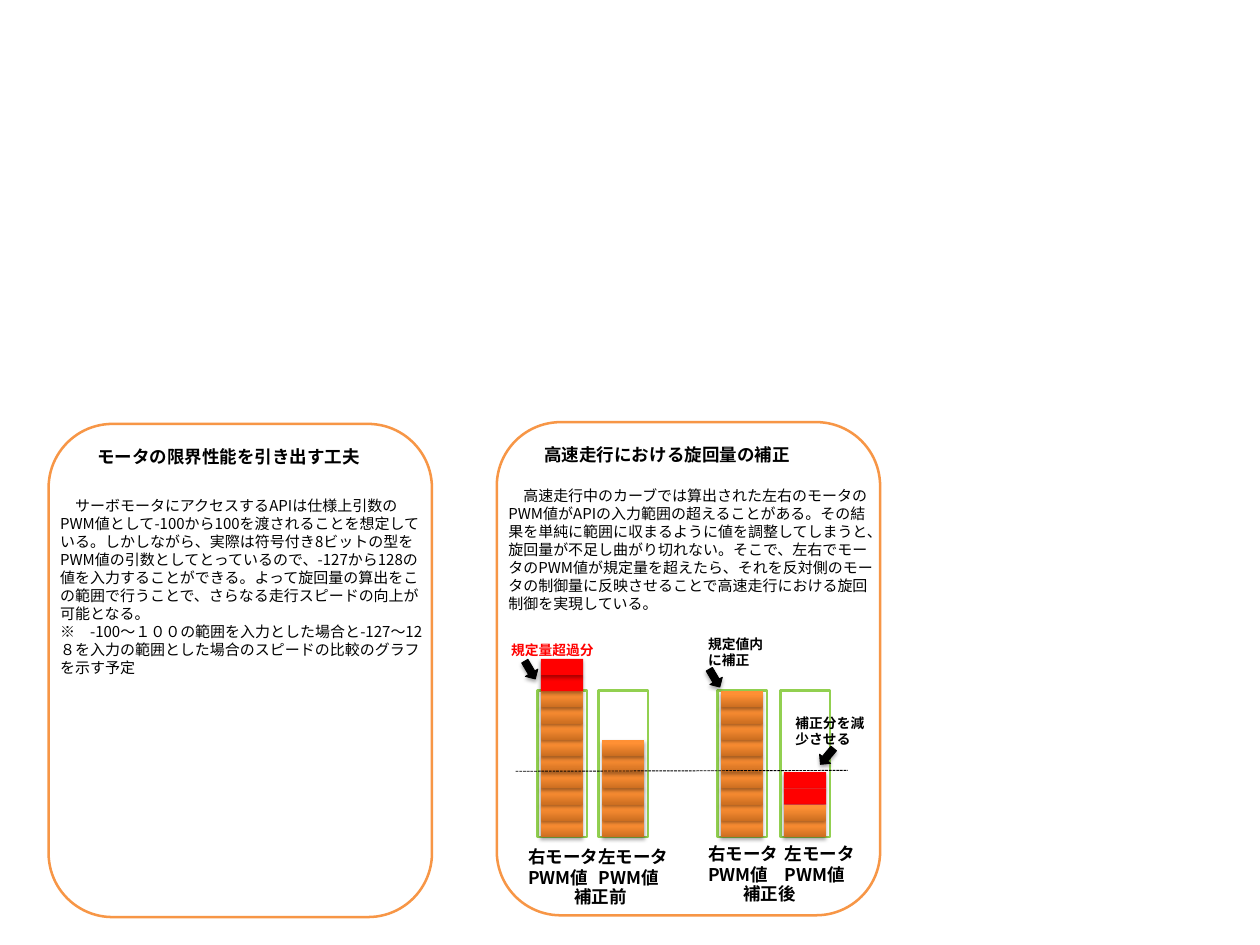
from copy import deepcopy

from lxml.etree import SubElement
from pptx import Presentation
from pptx.dml.color import RGBColor
from pptx.enum.dml import MSO_LINE
from pptx.enum.shapes import MSO_CONNECTOR, MSO_SHAPE
from pptx.enum.text import MSO_AUTO_SIZE
from pptx.oxml.ns import qn
from pptx.util import Inches, Pt

FONT = "Noto Sans CJK JP"
COLORS = {
    "text": "000000", "panel": "F79646", "limit": "92D050", "excess": "FF0000",
    "cell_dark": "CC6E20", "cell_mid": "FF9034", "cell_light": "FF9136",
}
PANEL_W, PANEL_H = 4.26, 5.48
GAUGE_W, GAUGE_H = 0.55, 1.63
CELL_W, CELL_H = 0.47, 0.18

LIMIT_TEXT = (
    "\u3000サーボモータにアクセスするAPIは仕様上引数のPWM値として-100から100を渡されることを想定している。"
    "しかしながら、実際は符号付き8ビットの型をPWM値の引数としてとっているので、"
    "-127から128の値を入力することができる。"
    "よって旋回量の算出をこの範囲で行うことで、さらなる走行スピードの向上が可能となる。\v"
    "※\u3000-100～１００の範囲を入力とした場合と-127～12８を入力の範囲とした場合の"
    "スピードの比較のグラフを示す予定"
)
TURN_TEXT = (
    "\u3000高速走行中のカーブでは算出された左右のモータのPWM値がAPIの入力範囲の超えることがある。"
    "その結果を単純に範囲に収まるように値を調整してしまうと、旋回量が不足し曲がり切れない。"
    "そこで、左右でモータのPWM値が規定量を超えたら、それを反対側のモータの制御量に反映させることで"
    "高速走行における旋回制御を実現している。"
)


def rgb(name):
    return RGBColor.from_string(COLORS[name])


def add_text(page, text, x, y, w, h, size=14, bold=True, color="text"):
    frame = page.shapes.add_textbox(Inches(x), Inches(y), Inches(w), Inches(h)).text_frame
    frame.word_wrap = True
    frame.auto_size = MSO_AUTO_SIZE.SHAPE_TO_FIT_TEXT
    para = frame.paragraphs[0]
    para.text = text
    for span in para.runs:
        span.font.size, span.font.bold, span.font.name = Pt(size), bold, FONT
        span.font.color.rgb = rgb(color)
        SubElement(span.font._element, qn("a:ea"), typeface=FONT)


def add_box(page, kind, x, y, w, h, fill=None, line=None, weight=2):
    box = page.shapes.add_shape(kind, Inches(x), Inches(y), Inches(w), Inches(h))
    box.shadow.inherit = False
    if fill:
        box.fill.solid()
        box.fill.fore_color.rgb = rgb(fill)
    else:
        box.fill.background()
    if line:
        box.line.color.rgb = rgb(line)
        box.line.width = Pt(weight)
    else:
        box.line.fill.background()
    return box


def add_shadow(box):
    effects = box._element.spPr.find(qn("a:effectLst"))
    shadow = SubElement(effects, qn("a:outerShdw"), blurRad=str(Pt(3.1)), dist=str(Pt(1.8)),
                        dir="5400000", rotWithShape="0")
    color = SubElement(shadow, qn("a:srgbClr"), val=COLORS["text"])
    SubElement(color, qn("a:alpha"), val="35000")


def shade_cell(box):
    box.fill.gradient()
    box.fill.gradient_angle = 90
    stop_list = box._element.spPr.find(f".//{qn('a:gsLst')}")
    stop_list.append(deepcopy(stop_list[-1]))
    shades = [(0, "cell_dark"), (0.8, "cell_mid"), (1, "cell_light")]
    for stop, (position, name) in zip(box.fill.gradient_stops, shades):
        stop.position = position
        stop.color.rgb = rgb(name)


def add_cells(page, x, bottom, levels, excess=False):
    for level in levels:
        cell = add_box(page, MSO_SHAPE.RECTANGLE, x, bottom - (level + 1) * CELL_H,
                       CELL_W, CELL_H, fill="excess")
        if not excess:
            shade_cell(cell)
        add_shadow(cell)


def add_gauge(page, x, y, normal, excess=0, excess_behind=False):
    """Stack normal cells, then excess cells, in a frame that marks the limit."""
    cell_x, bottom = x + 0.04, y + GAUGE_H
    extra = range(normal, normal + excess)
    if excess_behind:
        add_cells(page, cell_x, bottom, reversed(extra), excess=True)
    add_box(page, MSO_SHAPE.RECTANGLE, x, y, GAUGE_W, GAUGE_H, line="limit")
    add_cells(page, cell_x, bottom, range(normal))
    if not excess_behind:
        add_cells(page, cell_x, bottom, extra, excess=True)


def add_pointer(page, x, y, rotation):
    arrow = add_box(page, MSO_SHAPE.DOWN_ARROW, x, y, 0.16, 0.23,
                    fill="text", line="text", weight=0.75)
    arrow.rotation = rotation
    add_shadow(arrow)


def add_threshold(page, x1, y1, x2, y2):
    line = page.shapes.add_connector(MSO_CONNECTOR.STRAIGHT, Inches(x1), Inches(y1),
                                     Inches(x2), Inches(y2))
    line.line.color.rgb = rgb("text")
    line.line.width = Pt(0.75)
    line.line.dash_style = MSO_LINE.SQUARE_DOT
    SubElement(line._element.spPr, qn("a:effectLst"))


def add_panel(page, x, y, title, title_at, body, body_at, body_h):
    add_text(page, title, x + title_at[0], y + title_at[1], 3.46, 0.34)
    add_text(page, body, x + body_at[0], y + body_at[1], PANEL_W, body_h, size=12, bold=False)
    add_box(page, MSO_SHAPE.ROUNDED_RECTANGLE, x, y, PANEL_W, PANEL_H, line="panel")


def add_motor_pair(page, x, y, right, left, left_x, left_label_x, label_y, caption, caption_at):
    """Draw the gauges of the right and left motors with their labels."""
    add_gauge(page, x, y, **right)
    add_gauge(page, x + left_x, y, **left)
    for side, label_x in (("右", -0.2), ("左", left_label_x)):
        add_text(page, f"{side}モータ\vPWM値", x + label_x, y + label_y, 1.02, 0.57)
    add_text(page, caption, x + caption_at[0], y + caption_at[1], 1.02, 0.34)


def add_turn_diagram(page, x, y):
    """Compare motor outputs before and after correction."""
    gauge_y = y + 0.66
    add_motor_pair(page, x + 0.45, gauge_y, {"normal": 9, "excess": 2}, {"normal": 6},
                   0.68, 0.58, 1.68, "補正前", (0.31, 2.13))
    add_motor_pair(page, x + 2.45, gauge_y, {"normal": 9},
                   {"normal": 2, "excess": 2, "excess_behind": True},
                   0.7, 0.65, 1.65, "補正後", (0.19, 2.09))
    add_text(page, "規定量超過分", x + 0.06, y + 0.07, 1.17, 0.29, size=11, color="excess")
    add_pointer(page, x + 0.29, y + 0.32, 329.5)
    add_threshold(page, x + 0.21, y + 1.56, x + 3.9, y + 1.55)
    add_text(page, "規定値内に補正", x + 2.25, y, 0.89, 0.47, size=11)
    add_pointer(page, x + 2.34, y + 0.41, 329.5)
    add_text(page, "補正分を減少させる", x + 3.22, y + 0.88, 1.07, 0.47, size=11)
    add_pointer(page, x + 3.59, y + 1.28, 39.9)


def main():
    deck = Presentation()
    deck.slide_width, deck.slide_height = Inches(14), Inches(10.5)
    page = deck.slides.add_slide(deck.slide_layouts[6])
    add_panel(page, 0.54, 4.71, "モータの限界性能を引き出す工夫", (0.44, 0.2),
              LIMIT_TEXT, (0.03, 0.76), 2.12)
    add_panel(page, 5.52, 4.69, "高速走行における旋回量の補正", (0.43, 0.19),
              TURN_TEXT, (0.03, 0.67), 1.51)
    add_turn_diagram(page, 5.52, 7.01)
    deck.save("out.pptx")


if __name__ == "__main__":
    main()
